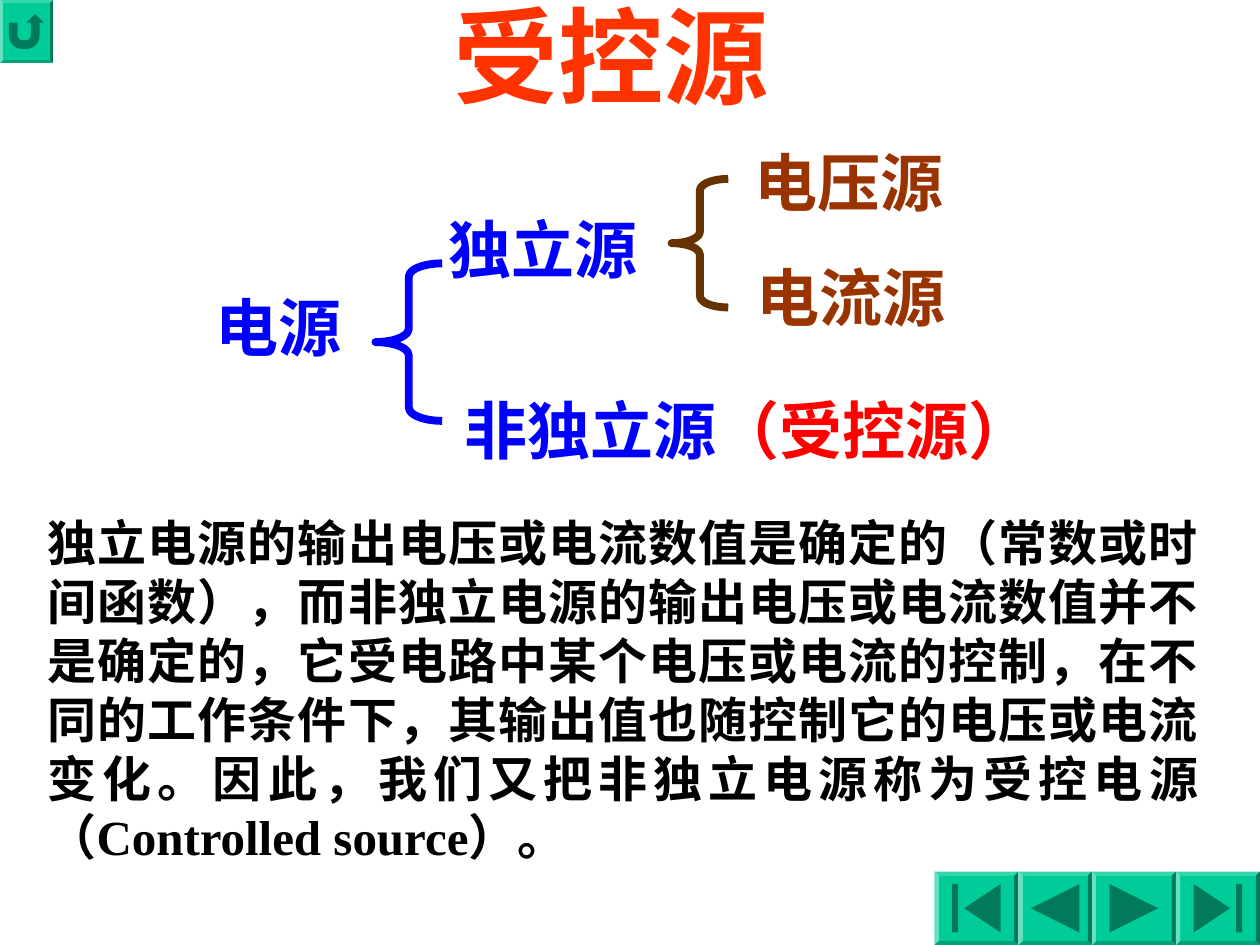
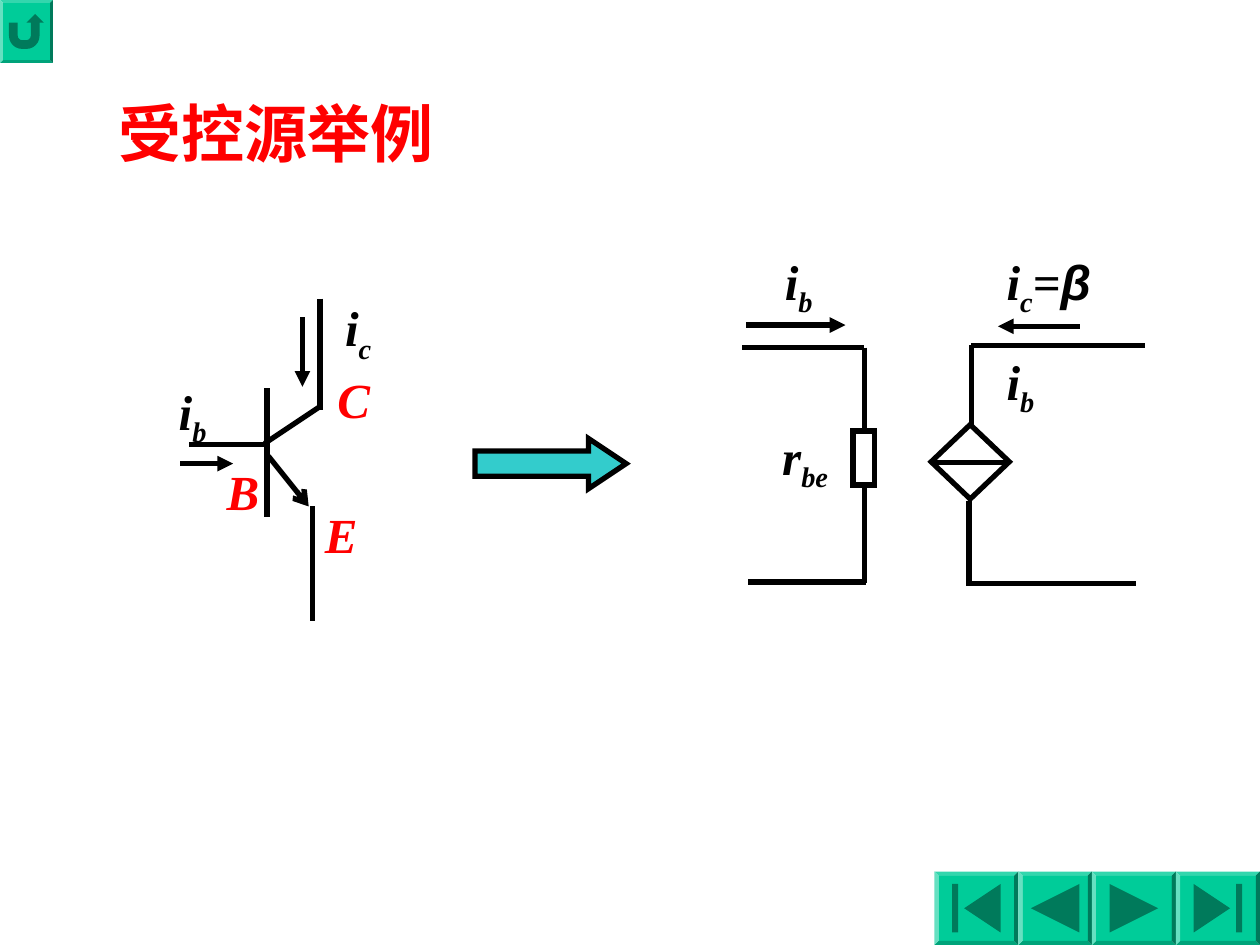
from dataclasses import dataclass
from itertools import accumulate
from typing import NamedTuple

from lxml.etree import SubElement
from pptx import Presentation
from pptx.dml.color import RGBColor
from pptx.enum.shapes import MSO_CONNECTOR, MSO_SHAPE
from pptx.enum.text import MSO_ANCHOR, MSO_AUTO_SIZE, PP_ALIGN
from pptx.oxml.ns import qn
from pptx.util import Inches, Pt

# Places are given in columns and rows of a 100 x 75 grid.
COLUMNS, ROWS = 100, 75
CELL = 0.1

CHINESE, LATIN, GREEK = "Noto Sans CJK SC", "Times New Roman", "Arial"
BLACK, WHITE, RED = "000000", "FFFFFF", "FF0000"
BLUE, BROWN, DARK_BROWN = "0000FF", "993300", "663300"
ORANGE_RED, BUTTON_GREEN, TURQUOISE = "FF3300", "00CC99", "33CCCC"
WIRE_WIDTH = 3
BRACE_WIDTH = 4.5
BEVEL_SHARE = 0.06


class Box(NamedTuple):
    col: float
    row: float
    cols: float
    rows: float


class Run(NamedTuple):
    text: str
    color: str | None = None
    font: str | None = None
    subscript: bool = False


class Wire(NamedTuple):
    start: tuple[float, float]
    end: tuple[float, float]
    head: str | None = None


@dataclass
class Term:
    """A word of the source tree."""
    box: Box
    runs: list[Run]


@dataclass
class Symbol:
    """A circuit quantity or terminal name."""
    box: Box
    runs: list[Run]
    color: str = BLACK
    wrap: bool = False


def grid(cells: float) -> int:
    return Inches(cells * CELL)


def rgb(color: str) -> RGBColor:
    return RGBColor.from_string(color)


def place(shape, box: Box) -> None:
    shape.left, shape.top, shape.width, shape.height = map(grid, box)


def write(shape, runs: list[Run], *, size: float, color: str = BLACK,
          font: str = LATIN, italic: bool = False, spacing: float = 1.0,
          align=PP_ALIGN.LEFT, wrap: bool = False) -> None:
    frame = shape.text_frame
    frame.word_wrap = wrap
    frame.auto_size = MSO_AUTO_SIZE.SHAPE_TO_FIT_TEXT
    frame.vertical_anchor = MSO_ANCHOR.TOP
    paragraph = frame.paragraphs[0]
    paragraph.alignment = align
    paragraph.line_spacing = spacing
    for part in runs:
        run = paragraph.add_run()
        run.text = part.text
        run.font.size = Pt(size)
        run.font.bold = True
        run.font.italic = italic
        run.font.color.rgb = rgb(part.color or color)
        run.font.name = part.font or font
        properties = run._r.get_or_add_rPr()
        SubElement(properties, qn("a:ea"), typeface=CHINESE)
        if part.subscript:
            properties.set("baseline", "-25000")


def add_text(slide, box: Box, runs: list[Run], **text_format) -> None:
    text_box = slide.shapes.add_textbox(*map(grid, box))
    write(text_box, runs, **text_format)


def add_title(slide, box: Box, text: str, **text_format) -> None:
    title = slide.shapes.title
    place(title, box)
    write(title, [Run(text)], wrap=True, **text_format)


def add_preset(slide, preset, box: Box, *, fill: str | None = None,
               line: str | None = None, width: float = WIRE_WIDTH,
               adjustments: tuple[float, ...] = ()) -> None:
    shape = slide.shapes.add_shape(preset, *map(grid, box))
    shape.shadow.inherit = False
    for index, value in enumerate(adjustments):
        shape.adjustments[index] = value
    if fill:
        shape.fill.solid()
        shape.fill.fore_color.rgb = rgb(fill)
    else:
        shape.fill.background()
    if line:
        shape.line.color.rgb = rgb(line)
        shape.line.width = Pt(width)
        if fill:
            SubElement(shape.line._get_or_add_ln(), qn("a:miter"), lim="800000")
    else:
        shape.line.fill.background()


def add_brace(slide, box: Box, color: str) -> None:
    add_preset(slide, MSO_SHAPE.LEFT_BRACE, box, line=color,
               width=BRACE_WIDTH, adjustments=(0.2, 0.5))


def add_wire(slide, wire: Wire) -> None:
    connector = slide.shapes.add_connector(
        MSO_CONNECTOR.STRAIGHT, *map(grid, wire.start + wire.end))
    connector.line.color.rgb = rgb(BLACK)
    connector.line.width = Pt(WIRE_WIDTH)
    if wire.head:
        SubElement(connector.line._get_or_add_ln(), qn("a:tailEnd"), type=wire.head)
    SubElement(connector._element.spPr, qn("a:effectLst"))


def add_button(slide, preset, box: Box) -> None:
    """Draw a bevelled frame with the button face set inside it."""
    edge = BEVEL_SHARE * min(box.cols, box.rows)
    face = Box(box.col + edge, box.row + edge,
               box.cols - 2 * edge, box.rows - 2 * edge)
    add_preset(slide, MSO_SHAPE.BEVEL, box, fill=BUTTON_GREEN,
               adjustments=(BEVEL_SHARE,))
    add_preset(slide, preset, face, fill=BUTTON_GREEN)


def add_navigation(slide) -> None:
    """Draw the return button and the row of buttons at the lower right."""
    add_button(slide, MSO_SHAPE.ACTION_BUTTON_RETURN, Box(0, 0, 4.2, 5))
    buttons = [
        (MSO_SHAPE.ACTION_BUTTON_BEGINNING, 6.67),
        (MSO_SHAPE.ACTION_BUTTON_BACK_OR_PREVIOUS, 5.83),
        (MSO_SHAPE.ACTION_BUTTON_FORWARD_OR_NEXT, 6.67),
        (MSO_SHAPE.ACTION_BUTTON_END, 6.67),
    ]
    height = 5.83
    widths = [width for _, width in buttons]
    lefts = accumulate(widths, initial=COLUMNS - sum(widths))
    for (preset, width), left in zip(buttons, lefts):
        add_button(slide, preset, Box(left, ROWS - height, width, height))


def add_slide(deck):
    slide = deck.slides.add_slide(deck.slide_layouts[5])
    add_navigation(slide)
    return slide


def build_source_types(deck) -> None:
    slide = add_slide(deck)
    add_title(slide, Box(35, -1.2, 30, 11), "受控源",
              size=60, color=ORANGE_RED, font=CHINESE)

    terms = [
        Term(Box(16.1, 22.4, 12, 7), [Run("电源", BLUE)]),
        Term(Box(34.6, 16.2, 17, 7), [Run("独立源", BLUE)]),
        Term(Box(35.9, 30.6, 47, 7), [Run("非独立源", BLUE), Run("（受控源）", RED)]),
        Term(Box(58.9, 10.9, 17, 7), [Run("电压源", BROWN)]),
        Term(Box(59.1, 20, 17, 7), [Run("电流源", BROWN)]),
    ]
    for term in terms:
        add_text(slide, term.box, term.runs, size=36, font=CHINESE)
    add_brace(slide, Box(29.8, 20.9, 5.3, 12.5), BLUE)
    add_brace(slide, Box(53.3, 14.2, 4.5, 10.2), DARK_BROWN)

    explanation = (
        "独立电源的输出电压或电流数值是确定的（常数或时间函数），"
        "而非独立电源的输出电压或电流数值并不是确定的，"
        "它受电路中某个电压或电流的控制，在不同的工作条件下，"
        "其输出值也随控制它的电压或电流变化。"
        "因此，我们又把非独立电源称为受控电源（Controlled source）。"
    )
    add_text(slide, Box(2.8, 40.2, 93.3, 29), [Run(explanation)],
             size=28, align=PP_ALIGN.JUSTIFY, wrap=True)


def quantity(name: str, index: str) -> list[Run]:
    return [Run(name), Run(index, subscript=True)]


def add_circuit(slide, wires: list[Wire], symbols: list[Symbol]) -> None:
    for wire in wires:
        add_wire(slide, wire)
    for symbol in symbols:
        add_text(slide, symbol.box, symbol.runs, size=28, color=symbol.color,
                 italic=True, spacing=1.5, wrap=symbol.wrap)


def add_transistor(slide) -> None:
    wires = [
        Wire((14.3, 36.8), (18.5, 36.8), "triangle"),
        Wire((24, 25.2), (24, 30.7), "triangle"),
        Wire((21.2, 30.8), (21.2, 41)),
        Wire((25.5, 32.2), (21, 35.2)),
        Wire((21.3, 36.2), (24.5, 40.2), "arrow"),
        Wire((21, 35.3), (15, 35.3)),
        Wire((25.4, 23.7), (25.4, 32.5)),
        Wire((24.8, 40.2), (24.8, 49.3)),
    ]
    symbols = [
        Symbol(Box(13.2, 27.1, 4.2, 9), quantity("i", "b")),
        Symbol(Box(26.4, 20.5, 4.1, 9), quantity("i", "c")),
        Symbol(Box(24.8, 37.2, 4.6, 8), [Run("E")], RED),
        Symbol(Box(25.8, 26.5, 4.6, 8), [Run("C")], RED),
        Symbol(Box(17, 33.8, 4.6, 8), [Run("B")], RED),
    ]
    add_circuit(slide, wires, symbols)


def add_equivalent_circuit(slide) -> None:
    wires = [
        Wire((68.6, 27.6), (68.6, 46.3)),
        Wire((68.6, 27.6), (58.9, 27.6)),
        Wire((68.7, 46.2), (59.4, 46.2)),
        Wire((59.2, 25.8), (67.1, 25.8), "triangle"),
        Wire((77.1, 27.4), (77.1, 33.9)),
        Wire((76.9, 39.8), (76.9, 46.1)),
        Wire((77.1, 27.4), (90.9, 27.4)),
        Wire((76.7, 46.3), (90.2, 46.3)),
        Wire((85.7, 25.9), (79.2, 25.9), "triangle"),
    ]
    controlled_current = [
        *quantity("i", "c"), Run("="), Run("β ", font=GREEK), *quantity("i", "b")]
    symbols = [
        Symbol(Box(61.3, 16.8, 4.2, 9), quantity("i", "b")),
        Symbol(Box(78.9, 16.8, 11, 9), controlled_current, wrap=True),
        Symbol(Box(61.1, 30.7, 6.5, 9), quantity("r", "be"), wrap=True),
    ]
    add_circuit(slide, wires, symbols)
    add_preset(slide, MSO_SHAPE.RECTANGLE, Box(67.7, 34.2, 1.7, 4.3),
               fill=WHITE, line=BLACK)
    add_preset(slide, MSO_SHAPE.DIAMOND, Box(73.9, 33.7, 6.2, 5.9),
               fill=WHITE, line=BLACK)
    add_wire(slide, Wire((74.1, 36.7), (80, 36.7)))


def build_example(deck) -> None:
    slide = add_slide(deck)
    add_title(slide, Box(8.4, 4, 30, 10), "受控源举例",
              size=36, color=RED, spacing=1.5)
    add_preset(slide, MSO_SHAPE.RIGHT_ARROW, Box(37.7, 34.8, 12, 4),
               fill=TURQUOISE, line=BLACK, adjustments=(0.5, 0.75))
    add_transistor(slide)
    add_equivalent_circuit(slide)


def main() -> None:
    deck = Presentation()
    deck.slide_width, deck.slide_height = grid(COLUMNS), grid(ROWS)
    build_source_types(deck)
    build_example(deck)
    deck.save("out.pptx")


if __name__ == "__main__":
    main()
